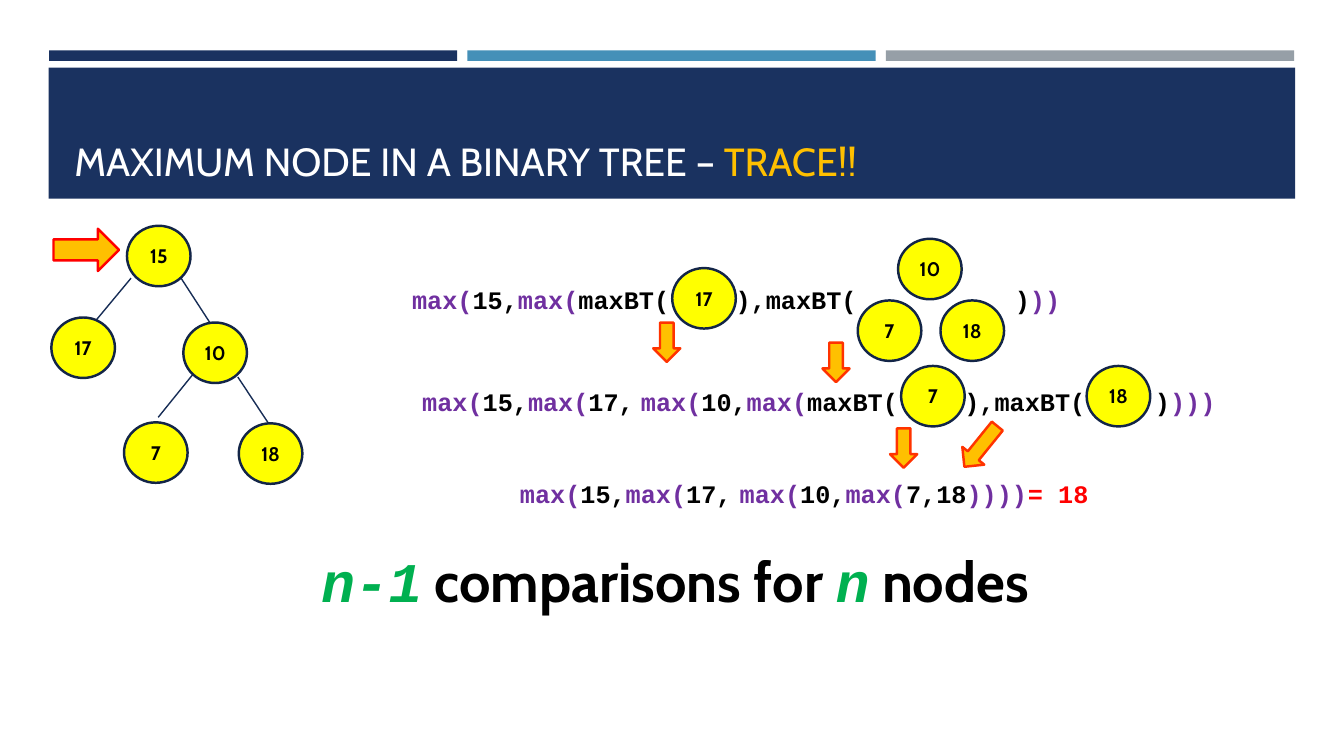
from dataclasses import dataclass

from lxml import etree
from pptx import Presentation
from pptx.dml.color import RGBColor
from pptx.enum.shapes import MSO_CONNECTOR, MSO_SHAPE
from pptx.enum.text import MSO_ANCHOR, MSO_AUTO_SIZE, PP_ALIGN
from pptx.oxml.ns import qn
from pptx.util import Pt

RECTANGLE = MSO_SHAPE.RECTANGLE
ELLIPSE = MSO_SHAPE.OVAL
RIGHT_ARROW = MSO_SHAPE.RIGHT_ARROW
DOWN_ARROW = MSO_SHAPE.DOWN_ARROW
STRAIGHT = MSO_CONNECTOR.STRAIGHT
LEFT, CENTER = PP_ALIGN.LEFT, PP_ALIGN.CENTER
MIDDLE, BOTTOM = MSO_ANCHOR.MIDDLE, MSO_ANCHOR.BOTTOM
GROW, FIXED = MSO_AUTO_SIZE.SHAPE_TO_FIT_TEXT, MSO_AUTO_SIZE.NONE


@dataclass(frozen=True)
class Theme:
    navy: str = "1A3260"
    blue: str = "4590B8"
    gray: str = "969FA7"
    white: str = "FFFFFF"
    black: str = "000000"
    gold: str = "FFC000"
    yellow: str = "FFFF00"
    outline: str = "132547"
    edge: str = "172D56"
    purple: str = "7030A0"
    green: str = "00B050"
    red: str = "FF0000"
    orange: str = "FF3300"
    sans: str = "Cabin"
    mono: str = "Courier New"
    title_size: float = 28
    code_size: float = 18
    node_size: float = 14
    conclusion_size: float = 40
    outline_width: float = 1.75
    edge_width: float = 1


class TraceSlide:
    NODE_WIDTH, NODE_HEIGHT = 45.4, 43.2
    CODE_ADVANCE, CODE_INSETS, CODE_HEIGHT = 10.8, 14.4, 28.8

    def __init__(self, deck, theme):
        self.theme = theme
        self.page = deck.slides.add_slide(deck.slide_layouts[5])

    def fill_text(self, frame, spans, size, align=LEFT, **frame_format):
        for name, value in frame_format.items():
            setattr(frame, name, value)
        para = frame.paragraphs[0]
        para.alignment = align
        for text, color, font_format in spans:
            span = para.add_run()
            span.text = text
            for name, value in {"size": Pt(size), **font_format}.items():
                setattr(span.font, name, value)
            span.font.color.rgb = RGBColor.from_string(color)

    def shape(self, kind, bounds, fill, line=None):
        shape = self.page.shapes.add_shape(kind, *map(Pt, bounds))
        shape.shadow.inherit = False
        shape.fill.solid()
        shape.fill.fore_color.rgb = RGBColor.from_string(fill)
        if line:
            shape.line.color.rgb = RGBColor.from_string(line)
            shape.line.width = Pt(self.theme.outline_width)
        else:
            shape.line.fill.background()
        return shape

    def title(self, bounds, spans):
        box = self.page.shapes.title
        for name, value in zip(("left", "top", "width", "height"), bounds):
            setattr(box, name, Pt(value))
        box.element.getparent().append(box.element)
        font = {"name": self.theme.sans}
        self.fill_text(box.text_frame, [(text, color, font) for text, color in spans],
                       self.theme.title_size, vertical_anchor=BOTTOM, word_wrap=True,
                       auto_size=FIXED)

    def node(self, value, left, top):
        theme = self.theme
        bounds = (left, top, self.NODE_WIDTH, self.NODE_HEIGHT)
        circle = self.shape(ELLIPSE, bounds, theme.yellow, theme.outline)
        font = {"name": theme.sans, "bold": True}
        self.fill_text(circle.text_frame, [(value, theme.black, font)], theme.node_size,
                       CENTER, vertical_anchor=MIDDLE, word_wrap=False)

    def edge(self, *ends):
        edge = self.page.shapes.add_connector(STRAIGHT, *map(Pt, ends))
        edge.line.color.rgb = RGBColor.from_string(self.theme.edge)
        edge.line.width = Pt(self.theme.edge_width)
        etree.SubElement(edge.element.spPr, qn("a:effectLst"))

    def arrow(self, kind, bounds, line, rotation=0):
        arrow = self.shape(kind, bounds, self.theme.gold, line)
        arrow.rotation = rotation

    def text(self, bounds, spans, size):
        box = self.page.shapes.add_textbox(*map(Pt, bounds))
        self.fill_text(box.text_frame, spans, size, word_wrap=False, auto_size=GROW)

    def code(self, left, top, *spans):
        length = sum(len(text) for text, color in spans)
        width = length * self.CODE_ADVANCE + self.CODE_INSETS
        font = {"name": self.theme.mono, "bold": True}
        self.text((left, top, width, self.CODE_HEIGHT),
                  [(text, color, font) for text, color in spans], self.theme.code_size)


def main():
    deck = Presentation()
    deck.slide_width, deck.slide_height = Pt(960), Pt(540)
    theme = Theme()
    trace = TraceSlide(deck, theme)

    for column, color in enumerate((theme.navy, theme.blue, theme.gray)):
        trace.shape(RECTANGLE, (35 + 298.9 * column, 36, 291.6, 7.5), color)
    trace.shape(RECTANGLE, (34.8, 48.3, 890.4, 93.7), theme.navy)
    trace.title((46, 55.4, 868.3, 80),
                [("MAXIMUM NODE IN A BINARY TREE – ", theme.white),
                 ("TRACE!!", theme.gold)])

    for ends in ((93.6, 198.7, 69.1, 228.2), (128.9, 198, 154.1, 236.9),
                 (137.5, 267.8, 113, 298.1), (169.9, 269.3, 195.1, 307.4)):
        trace.edge(*ends)

    purple, black = theme.purple, theme.black
    max_call, base_call = ("max(", purple), ("maxBT(", black)
    next_call = ("),maxBT(", black)
    first, second, third = 199.4, 272.2, 338.4
    trace.code(287.3, first, max_call, ("15,", black), max_call, base_call)
    trace.code(518.4, first, next_call)
    trace.code(717.8, first, (")", black), ("))", purple))
    trace.code(450.7, second, max_call, ("10,", black), max_call, base_call)
    trace.code(681.8, second, next_call)
    trace.code(817.9, second, (")", black), (")))", purple))
    for left, top in ((294.5, second), (364.3, third)):
        trace.code(left, top, max_call, ("15,", black), max_call, ("17,", black))
    trace.code(521.3, third, max_call, ("10,", black), max_call, ("7,18", black),
               ("))))", purple))
    trace.code(727.2, third, ("= 18", theme.red))

    tree_nodes = (("15", 90.7, 161.3), ("17", 36.7, 226.8), ("10", 131, 230.4),
                  ("7", 88.6, 301.7), ("18", 170.6, 302.4))
    call_nodes = (("17", 480.2, 191.5), ("10", 641.5, 170.6), ("7", 612.7, 214.6),
                  ("18", 671.8, 214.6), ("7", 643.7, 261.4), ("18", 776.2, 261.4))
    for value, left, top in tree_nodes + call_nodes:
        trace.node(value, left, top)

    trace.arrow(RIGHT_ARROW, (38.2, 163.4, 46.8, 30.2), theme.red)
    for left, top in ((466.6, 230.4), (587.5, 244.8), (635.8, 306)):
        trace.arrow(DOWN_ARROW, (left, top, 19.4, 28.1), theme.orange)
    trace.arrow(DOWN_ARROW, (690.5, 300.2, 20.2, 37.4), theme.orange, 39)

    symbol = {"name": theme.mono, "bold": True, "italic": True}
    words = {"name": theme.sans, "bold": True, "italic": False}
    trace.text((222.5, 386.6, 559.4, 55.4),
               [("n-1", theme.green, symbol), (" comparisons for ", black, words),
                ("n", theme.green, symbol), (" nodes", black, words)],
               theme.conclusion_size)

    deck.save("out.pptx")


if __name__ == "__main__":
    main()
